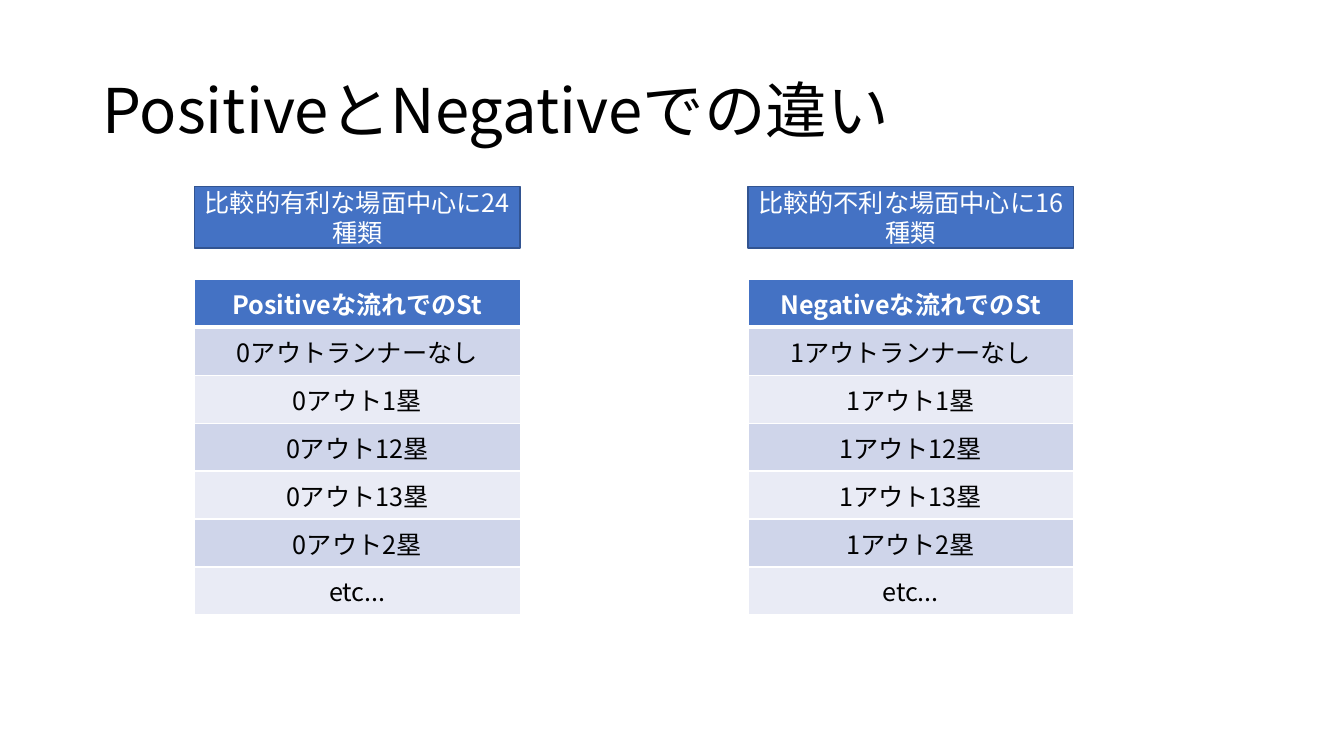
"""Build the slide comparing situations in positive and negative game flow."""
from pptx import Presentation
from pptx.dml.color import RGBColor
from pptx.enum.shapes import MSO_SHAPE
from pptx.enum.text import MSO_ANCHOR, MSO_AUTO_SIZE, PP_ALIGN
from pptx.oxml import parse_xml
from pptx.oxml.ns import nsdecls
from pptx.util import Pt

FONT = "Noto Sans CJK JP"
BLUE, NAVY, WHITE, BLACK = "4472C4", "325491", "FFFFFF", "000000"
BANDS = ["E9EBF5", "CFD5EA"]
WIDTH, ROW_H = 232.5, 34.25


def rgb(value):
    return RGBColor.from_string(value)


def write(tf, text, size, color, align=PP_ALIGN.CENTER, bold=False):
    tf.word_wrap = True
    p = tf.paragraphs[0]
    p.alignment = align
    r = p.add_run()
    r.text = text
    r.font.size, r.font.bold, r.font.name = Pt(size), bold, FONT
    r.font.color.rgb = rgb(color)
    r.font._element.append(parse_xml(f'<a:ea {nsdecls("a")} typeface="{FONT}"/>'))
    return p


prs = Presentation()
prs.slide_width, prs.slide_height = Pt(960), Pt(540)
slide = prs.slides.add_slide(prs.slide_layouts[5])

title = slide.shapes.title
title.left, title.top, title.width, title.height = Pt(66), Pt(28.75), Pt(828), Pt(104.4)
tf = title.text_frame
tf.auto_size = MSO_AUTO_SIZE.NONE
tf.vertical_anchor = MSO_ANCHOR.MIDDLE
write(tf, "PositiveとNegativeでの違い", 44, BLACK, PP_ALIGN.LEFT).line_spacing = 0.9

flows = [
    (139, "Positive", 0, "比較的有利な場面中心に24種類"),
    (534.25, "Negative", 1, "比較的不利な場面中心に16種類"),
]
situations = ["ランナーなし", "1塁", "12塁", "13塁", "2塁"]

for left, flow, outs, summary in flows:
    rows = [f"{flow}な流れでのSt"]
    rows += [f"{outs}アウト{situation}" for situation in situations] + ["etc..."]
    frame = slide.shapes.add_table(
        len(rows), 1, Pt(left), Pt(199.5), Pt(WIDTH), Pt(ROW_H * len(rows)))
    table = frame.table
    for i, text in enumerate(rows):
        header = i == 0
        table.rows[i].height = Pt(ROW_H)
        cell = table.cell(i, 0)
        cell.vertical_anchor = MSO_ANCHOR.MIDDLE
        cell.fill.solid()
        cell.fill.fore_color.rgb = rgb(BLUE if header else BANDS[i % 2])
        write(cell.text_frame, text, 18, WHITE if header else BLACK, bold=header)
        tc_pr = cell._tc.get_or_add_tcPr()
        widths = {"L": 1, "R": 1, "T": 3 if i == 1 else 1, "B": 3 if header else 1}
        for n, (side, width) in enumerate(widths.items()):
            tc_pr.insert(n, parse_xml(
                f'<a:ln{side} {nsdecls("a")} w="{Pt(width)}"><a:solidFill>'
                f'<a:srgbClr val="{WHITE}"/></a:solidFill></a:ln{side}>'))

    sp = slide.shapes.add_shape(
        MSO_SHAPE.RECTANGLE, Pt(left), Pt(133.25), Pt(WIDTH), Pt(44))
    sp.shadow.inherit = False
    sp.fill.solid()
    sp.fill.fore_color.rgb = rgb(BLUE)
    sp.line.color.rgb = rgb(NAVY)
    sp.line.width = Pt(1)
    sp.text_frame.vertical_anchor = MSO_ANCHOR.MIDDLE
    write(sp.text_frame, summary, 18, WHITE)

prs.save("out.pptx")
